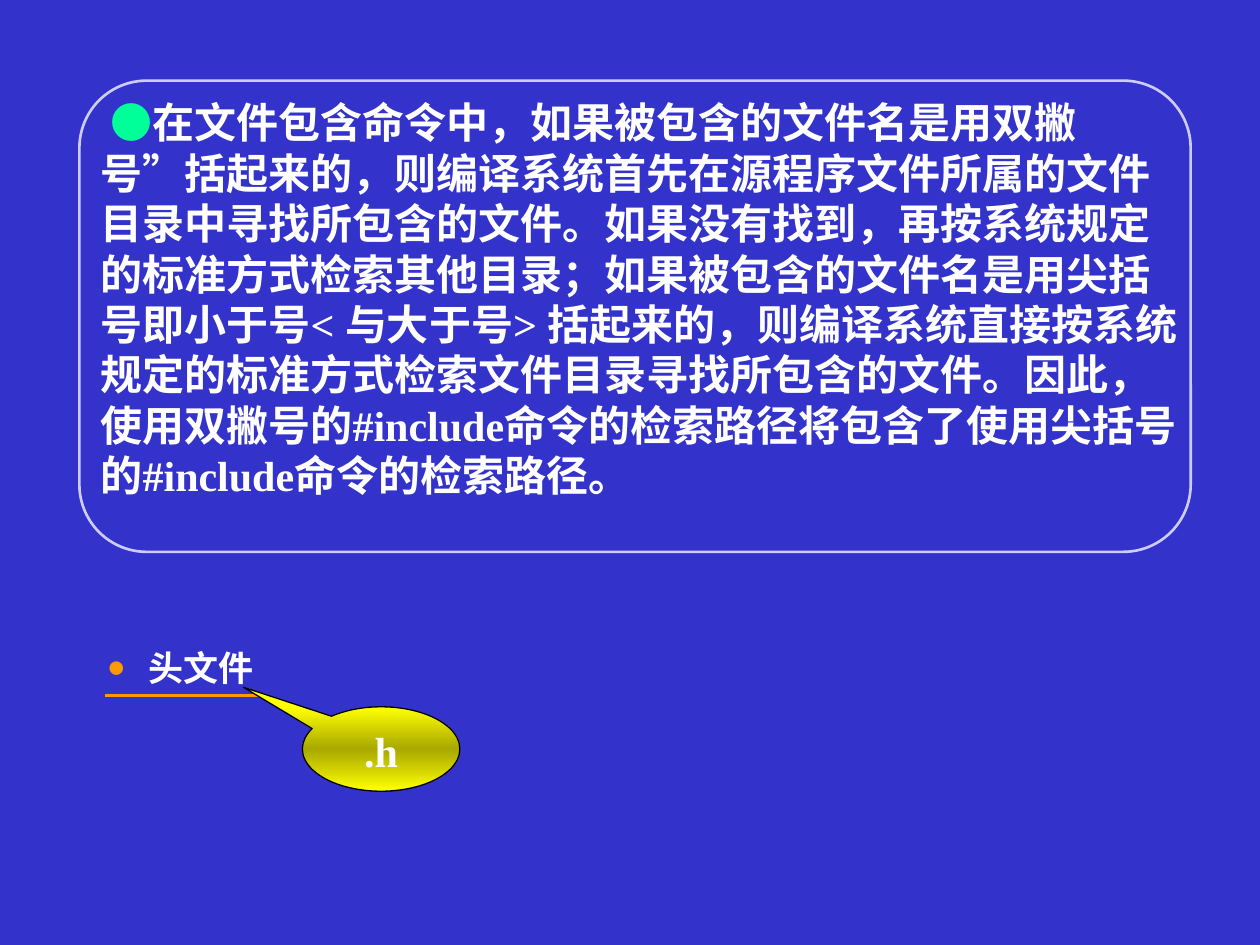
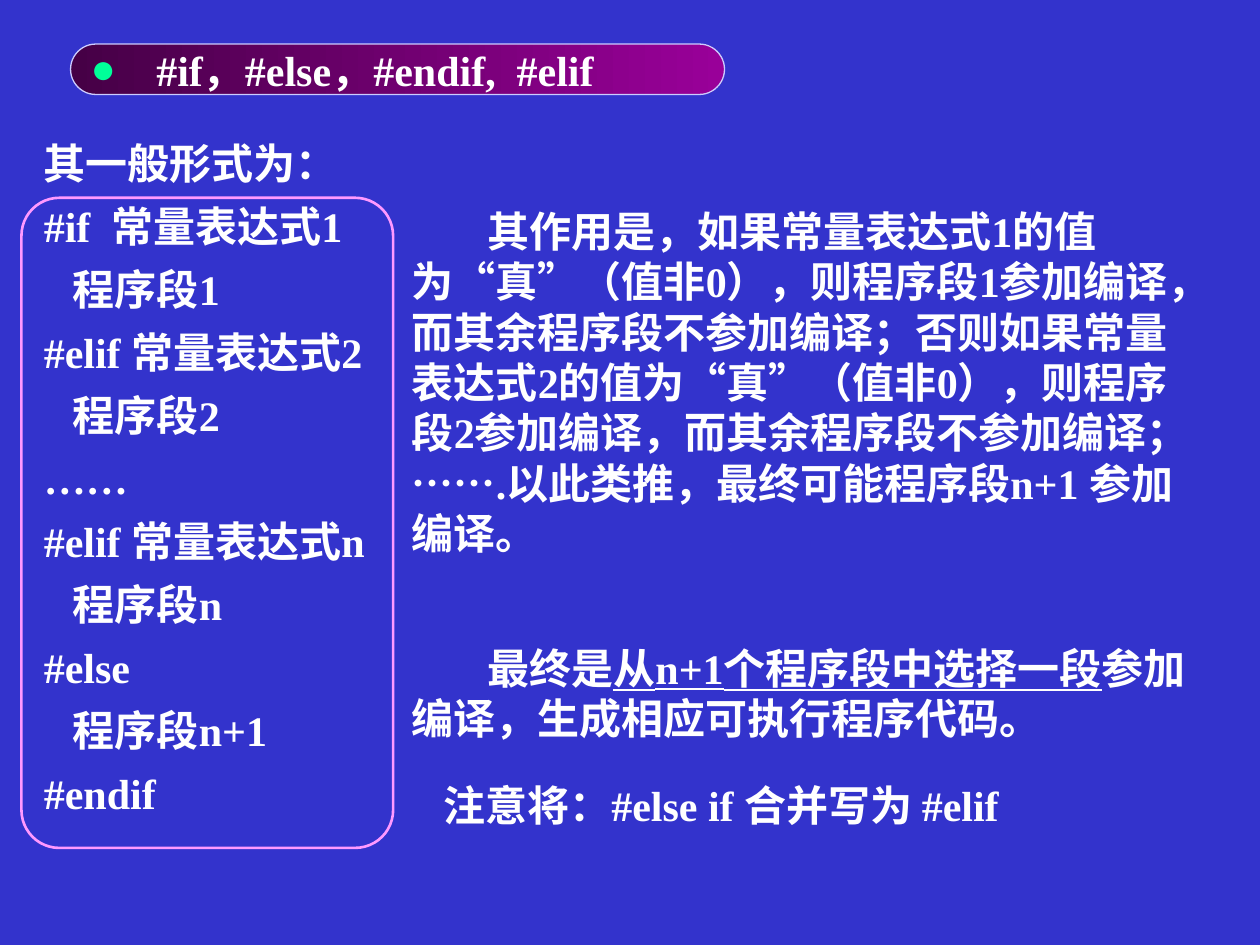
from lxml import etree
from pptx import Presentation
from pptx.dml.color import RGBColor
from pptx.enum.shapes import MSO_CONNECTOR, MSO_SHAPE
from pptx.enum.text import MSO_ANCHOR, PP_ALIGN
from pptx.oxml.ns import qn
from pptx.util import Inches, Pt

# Content
SEARCH_RULE = (
    "在文件包含命令中，如果被包含的文件名是用双撇号”括起来的，则编译系统首先在源程序文件所属的文件目录中寻找所包含的文件。"
    "如果没有找到，再按系统规定的标准方式检索其他目录；如果被包含的文件名是用尖括号即小于号< 与大于号> 括起来的，"
    "则编译系统直接按系统规定的标准方式检索文件目录寻找所包含的文件。"
    "因此，使用双撇号的#include命令的检索路径将包含了使用尖括号的#include命令的检索路径。"
)
HEADER_TERM = "头文件"
HEADER_SUFFIX = ".h"

DIRECTIVES_TITLE = "#if，#else，#endif,  #elif"
# (text, is it indented)
GENERAL_FORM = [
    ("其一般形式为：", False),
    ("#if  常量表达式1", False),
    ("程序段1", True),
    ("#elif 常量表达式2", False),
    ("程序段2", True),
    ("……", False),
    ("#elif 常量表达式n", False),
    ("程序段n", True),
    ("#else", False),
    ("程序段n+1", True),
    ("#endif", False),
]
EFFECT = (
    "其作用是，如果常量表达式1的值为“真”（值非0），则程序段1参加编译，而其余程序段不参加编译；"
    "否则如果常量表达式2的值为“真”（值非0），则程序段2参加编译，而其余程序段不参加编译；"
    "…….以此类推，最终可能程序段n+1 参加编译。"
)
# (text, is it underlined)
CONCLUSION = [
    ("最终是", False),
    ("从n+1个程序段中选择一段", True),
    ("参加编译，生成相应可执行程序代码。", False),
]
REMINDER = "注意将：#else if 合并写为 #elif"

# Shared look
FONT = "Times New Roman"
BODY_SIZE = 24
BLUE = RGBColor(0x33, 0x33, 0xCC)
WHITE = RGBColor(0xFF, 0xFF, 0xFF)
BLACK = RGBColor(0, 0, 0)
GREEN = RGBColor(0x00, 0xFF, 0x99)
ORANGE = RGBColor(0xFF, 0x99, 0x00)
LAVENDER = RGBColor(0xCC, 0xCC, 0xFF)
PINK = RGBColor(0xFF, 0x99, 0xFF)
YELLOW = RGBColor(0xFF, 0xFF, 0x00)
OLIVE = RGBColor(0xA9, 0xA9, 0x00)
DARK_PURPLE = RGBColor(0x46, 0x00, 0x46)
PURPLE = RGBColor(0x99, 0x00, 0x99)

ROUNDED = MSO_SHAPE.ROUNDED_RECTANGLE
CALLOUT = MSO_SHAPE.OVAL_CALLOUT
STRAIGHT = MSO_CONNECTOR.STRAIGHT
MIDDLE, TOP = MSO_ANCHOR.MIDDLE, MSO_ANCHOR.TOP
LEFT, CENTER = PP_ALIGN.LEFT, PP_ALIGN.CENTER
TITLE_ONLY, BLANK = 5, 6


def style(span, size=BODY_SIZE, color=WHITE, bold=True, underline=None):
    font = span.font
    font.name, font.size, font.bold = FONT, Pt(size), bold
    font.underline = underline
    font.color.rgb = color


def add_span(para, text, **look):
    span = para.add_run()
    span.text = text
    style(span, **look)


def indent(para, margin=0, first=0):
    properties = para._p.get_or_add_pPr()
    properties.set("marL", str(Inches(margin)))
    properties.set("indent", str(Inches(first)))


def add_bullet(para, color, hang, percent=100):
    indent(para, hang, -hang)
    properties = para._p.get_or_add_pPr()
    bullet_color = etree.SubElement(properties, qn("a:buClr"))
    etree.SubElement(bullet_color, qn("a:srgbClr"), val=str(color))
    etree.SubElement(properties, qn("a:buSzPct"), val=str(percent * 1000))
    etree.SubElement(properties, qn("a:buFont"), typeface=FONT)
    etree.SubElement(properties, qn("a:buChar"), char="●")


def add_text_box(page, left, top, width, height):
    box = page.shapes.add_textbox(*map(Inches, (left, top, width, height)))
    box.text_frame.word_wrap = True
    return box.text_frame


def set_outline(shape, color, width):
    shape.line.color.rgb = color
    shape.line.width = Pt(width)


def set_gradient(shape, colors, angle):
    """Spread the colours evenly along the gradient."""
    shape.fill.gradient()
    shape.fill.gradient_angle = angle
    stops = shape._element.spPr.find(qn("a:gradFill")).find(qn("a:gsLst"))
    for stop in list(stops):
        stops.remove(stop)
    for number, color in enumerate(colors):
        position = 100000 * number // (len(colors) - 1)
        stop = etree.SubElement(stops, qn("a:gs"), pos=str(position))
        etree.SubElement(stop, qn("a:srgbClr"), val=str(color))


def add_frame(page, left, top, width, height, rounding, color, line_width=1.5):
    frame = page.shapes.add_shape(ROUNDED, *map(Inches, (left, top, width, height)))
    frame.adjustments[0] = rounding
    frame.shadow.inherit = False
    frame.fill.background()
    set_outline(frame, color, line_width)
    return frame


def add_pill_title(page, text):
    pill = add_frame(page, 0.56, 0.35, 5.19, 0.4, 0.5, LAVENDER, 0.75)
    set_gradient(pill, [DARK_PURPLE, PURPLE], 0)

    # The title stands in front of its pill
    title = page.shapes.title
    pill._element.addnext(title._element)
    title.left, title.top = Inches(0.62), Inches(0.35)
    title.width, title.height = Inches(5.07), Inches(0.4)
    frame = title.text_frame
    frame.word_wrap, frame.vertical_anchor = True, MIDDLE
    frame.text = text
    para = frame.paragraphs[0]
    para.alignment, para.space_before, para.line_spacing = LEFT, Pt(0), 1.0
    add_bullet(para, GREEN, 0.52)
    style(para.runs[0])


def build_include_page(deck):
    page = deck.slides.add_slide(deck.slide_layouts[BLANK])

    # Search rule in its frame
    para = add_text_box(page, 0.7, 0.72, 8.75, 3.33).paragraphs[0]
    indent(para, first=0.08)
    add_span(para, "●", color=GREEN, bold=False)
    add_span(para, SEARCH_RULE)
    add_frame(page, 0.63, 0.64, 8.82, 3.74, 0.143, LAVENDER)

    # Underlined term
    para = add_text_box(page, 0.75, 5.08, 2.75, 0.43).paragraphs[0]
    para.text = HEADER_TERM
    add_bullet(para, ORANGE, 0.33, 90)
    style(para.runs[0], size=20)
    rule = page.shapes.add_connector(
        STRAIGHT, Inches(0.83), Inches(5.52), Inches(2.08), Inches(5.52))
    set_outline(rule, ORANGE, 2.25)
    etree.SubElement(rule._element.spPr, qn("a:effectLst"))

    # Callout with the suffix
    callout = page.shapes.add_shape(
        CALLOUT, Inches(2.4), Inches(5.61), Inches(1.25), Inches(0.67))
    callout.adjustments[0], callout.adjustments[1] = -0.875, -0.732
    callout.shadow.inherit = False
    set_gradient(callout, [YELLOW, OLIVE, YELLOW], 90)
    set_outline(callout, BLACK, 0.75)
    callout.text_frame.vertical_anchor = TOP
    callout.text_frame.text = HEADER_SUFFIX
    para = callout.text_frame.paragraphs[0]
    para.alignment = CENTER
    style(para.runs[0])


def build_conditional_page(deck):
    page = deck.slides.add_slide(deck.slide_layouts[TITLE_ONLY])
    add_pill_title(page, DIRECTIVES_TITLE)

    # Effect and conclusion
    frame = add_text_box(page, 3.17, 1.58, 6.48, 4.46)
    frame.text = EFFECT
    style(frame.paragraphs[0].runs[0])
    conclusion = frame.add_paragraph()
    conclusion.space_before = Pt(48)
    for text, underlined in CONCLUSION:
        add_span(conclusion, text, underline=underlined)
    for para in frame.paragraphs:
        indent(para, first=0.6)

    # General form in its frame
    frame = add_text_box(page, 0.25, 1.04, 3, 5.76)
    frame.text = "\n".join(text for text, _ in GENERAL_FORM)
    for number, (_, indented) in enumerate(GENERAL_FORM):
        para = frame.paragraphs[number]
        para.space_before = Pt(7.2 if number else 0)
        if indented:
            indent(para, margin=0.23)
        style(para.runs[0])
    add_frame(page, 0.17, 1.57, 2.95, 5.16, 0.102, PINK)

    # Reminder
    frame = add_text_box(page, 3.42, 6.14, 6.4, 0.5)
    frame.text = REMINDER
    style(frame.paragraphs[0].runs[0])


def main():
    deck = Presentation()
    deck.slide_width, deck.slide_height = Inches(10), Inches(7.5)
    background = deck.slide_master.background.fill
    background.solid()
    background.fore_color.rgb = BLUE
    build_include_page(deck)
    build_conditional_page(deck)
    deck.save("out.pptx")


if __name__ == "__main__":
    main()
